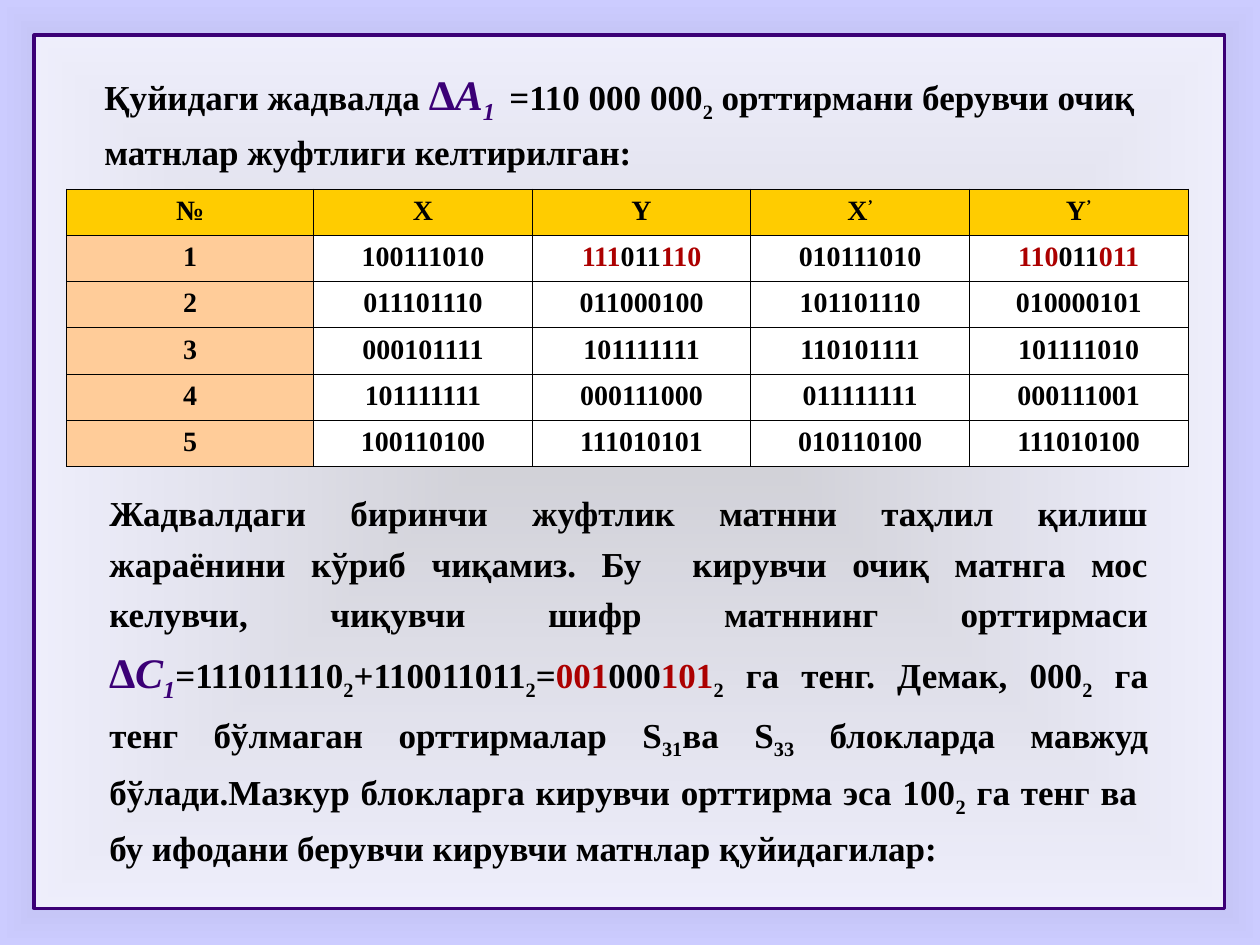
from lxml import etree
from pptx import Presentation, util as u
from pptx.dml.color import RGBColor
from pptx.enum import shapes, text
from pptx.oxml import parse_xml
from pptx.oxml.ns import nsdecls, qn

BLACK = RGBColor(0x00, 0x00, 0x00)
WHITE = RGBColor(0xFF, 0xFF, 0xFF)
INDIGO = RGBColor(0x3B, 0x00, 0x76)
RED = RGBColor(0xAC, 0x00, 0x00)
GOLD = RGBColor(0xFF, 0xCC, 0x00)
PEACH = RGBColor(0xFF, 0xCC, 0x99)
SLATE = RGBColor(0x5E, 0x5E, 0x76)
LILAC = RGBColor(0xCC, 0xCC, 0xFF)
SERIF, SANS = "Times New Roman", "Lato"
COLS, ROWS = 100, 75
HANG = 3.8

STYLES = {
    "plain": {},
    "sub": {"base": -25},
    "sup": {"base": 30},
    "red": {"color": RED},
    "delta": {"size": 24, "color": INDIGO, "italic": True},
    "index": {"size": 24, "color": INDIGO, "italic": True, "base": -25},
    "gap": {"size": 32, "color": WHITE, "font": SANS, "bold": False},
    "tab": {"size": 22, "font": SANS, "bold": False},
}

INTRO = [
    [("Қуйидаги жадвалда ", "plain"), ("∆А", "delta"), ("1", "index"), (" ", "gap"),
     ("=110 000 000", "plain"), ("2", "sub"), (" орттирмани берувчи очиқ", "plain")],
    [("матнлар жуфтлиги келтирилган:", "plain")],
]
ANALYSIS = [[
    ("\t", "tab"),
    ("Жадвалдаги биринчи жуфтлик матнни таҳлил қилиш жараёнини кўриб чиқамиз. "
     "Бу  кирувчи очиқ матнга мос келувчи, чиқувчи шифр матннинг орттирмаси ", "plain"),
    ("∆С", "delta"), ("1", "index"), ("=111011110", "plain"), ("2", "sub"),
    ("+110011011", "plain"), ("2", "sub"), ("=", "plain"),
    ("001", "red"), ("000", "plain"), ("101", "red"), ("2", "sub"),
    (" га тенг. Демак, 000", "plain"), ("2", "sub"),
    (" га тенг бўлмаган орттирмалар S", "plain"), ("31", "sub"),
    ("ва S", "plain"), ("33", "sub"),
    (" блокларда мавжуд бўлади.Мазкур блокларга кирувчи орттирма эса 100", "plain"),
    ("2", "sub"),
    (" га тенг ва  бу ифодани берувчи кирувчи матнлар қуйидагилар:", "plain"),
]]
PAIRS = [
    ["№", "X", "Y", [("X", "plain"), ("’", "sup")], [("Y", "plain"), ("’", "sup")]],
    ["1", "100111010", [("111", "red"), ("011", "plain"), ("110", "red")],
     "010111010", [("110", "red"), ("011", "plain"), ("011", "red")]],
    ["2", "011101110", "011000100", "101101110", "010000101"],
    ["3", "000101111", "101111111", "110101111", "101111010"],
    ["4", "101111111", "000111000", "011111111", "000111001"],
    ["5", "100110100", "111010101", "010110100", "111010100"],
]


def place(prs, box):
    """Turn a box in grid columns and rows into slide lengths."""
    col, row = prs.slide_width / COLS, prs.slide_height / ROWS
    return [round(n * unit) for n, unit in zip(box, (col, row, col, row))]


def add_runs(p, parts, size):
    """Append styled runs to a paragraph."""
    for words, name in parts:
        style = STYLES[name]
        r = p.add_run()
        r.text = words
        r.font.size = u.Pt(style.get("size", size))
        r.font.name = style.get("font", SERIF)
        r.font.bold = style.get("bold", True)
        r.font.italic = style.get("italic", False)
        r.font.color.rgb = style.get("color", BLACK)
        if "base" in style:
            r.font._element.set("baseline", str(style["base"] * 1000))


def paint_background(s):
    """Fill the slide with a gradient that spreads from its centre."""
    fill = s.background.fill
    fill.gradient()
    for stop, color, position in zip(fill.gradient_stops, (SLATE, LILAC), (0, 1)):
        stop.color.rgb = color
        stop.position = position
    grad = s.background._cSld.find(".//" + qn("a:gradFill"))
    grad.replace(grad.find(qn("a:lin")), parse_xml(
        f'<a:path {nsdecls("a")} path="rect">'
        '<a:fillToRect l="50000" t="50000" r="50000" b="50000"/></a:path>'))


def add_panel(prs, s, box):
    """Draw the translucent framed panel."""
    sp = s.shapes.add_shape(shapes.MSO_SHAPE.RECTANGLE, *place(prs, box))
    sp.shadow.inherit = False
    sp.fill.solid()
    sp.fill.fore_color.rgb = WHITE
    color = sp._element.spPr.find(qn("a:solidFill"))[0]
    etree.SubElement(color, qn("a:alpha"), val="72000")
    sp.line.color.rgb = INDIGO
    sp.line.width = u.Pt(2)


def add_body(prs, s, box, paragraphs, spacing, align):
    """Write hanging paragraphs into a text box."""
    sp = s.shapes.add_textbox(*place(prs, box))
    tf = sp.text_frame
    tf.word_wrap = True
    tf.auto_size = text.MSO_AUTO_SIZE.SHAPE_TO_FIT_TEXT
    hang, stop = place(prs, (HANG, 0, 10, 0))[::2]
    for i, parts in enumerate(paragraphs):
        p = tf.add_paragraph() if i else tf.paragraphs[0]
        p.alignment = align
        p.line_spacing = spacing
        p.space_before = u.Pt(12.5 if i else 0)
        pPr = p._p.get_or_add_pPr()
        pPr.set("marL", str(hang))
        pPr.set("indent", str(-hang))
        tabs = etree.SubElement(pPr, qn("a:tabLst"))
        etree.SubElement(tabs, qn("a:tab"), pos=str(stop), algn="l")
        add_runs(p, parts, 20)


def border_cell(cell):
    """Rule all four sides of a cell in thin black."""
    tcPr = cell._tc.get_or_add_tcPr()
    for i, side in enumerate(("lnL", "lnR", "lnT", "lnB")):
        tcPr.insert(i, parse_xml(
            f'<a:{side} {nsdecls("a")} w="{u.Pt(0.45)}"><a:solidFill>'
            f'<a:srgbClr val="{BLACK}"/></a:solidFill></a:{side}>'))


def add_pairs_table(prs, s, box, first_col):
    """Tabulate the pairs, with equal columns after the first."""
    x, y, w, h = place(prs, box)
    first = place(prs, (first_col, 0, 0, 0))[0]
    rows, cols = len(PAIRS), len(PAIRS[0])
    table = s.shapes.add_table(rows, cols, x, y, w, h).table
    for i, column in enumerate(table.columns):
        column.width = (w - first) // (cols - 1) if i else first
    for i, values in enumerate(PAIRS):
        table.rows[i].height = h // rows
        for j, value in enumerate(values):
            cell = table.cell(i, j)
            cell.fill.solid()
            cell.fill.fore_color.rgb = GOLD if i == 0 else WHITE if j else PEACH
            border_cell(cell)
            p = cell.text_frame.paragraphs[0]
            p.alignment = text.PP_ALIGN.CENTER
            add_runs(p, [(value, "plain")] if isinstance(value, str) else value, 16)


def main():
    """Build and save the slide."""
    prs = Presentation()
    prs.slide_width, prs.slide_height = u.Inches(10), u.Inches(7.5)
    s = prs.slides.add_slide(prs.slide_layouts[6])
    paint_background(s)
    add_panel(prs, s, (2.7, 2.8, 94.5, 69.3))
    add_body(prs, s, (7.3, 5.1, 91.4, 9.1), INTRO, 0.7, text.PP_ALIGN.LEFT)
    add_pairs_table(prs, s, (5.3, 15, 89, 22), 19.6)
    add_body(prs, s, (3.9, 37.5, 88.2, 32), ANALYSIS, 1.2, text.PP_ALIGN.JUSTIFY)
    prs.save("out.pptx")


if __name__ == "__main__":
    main()
